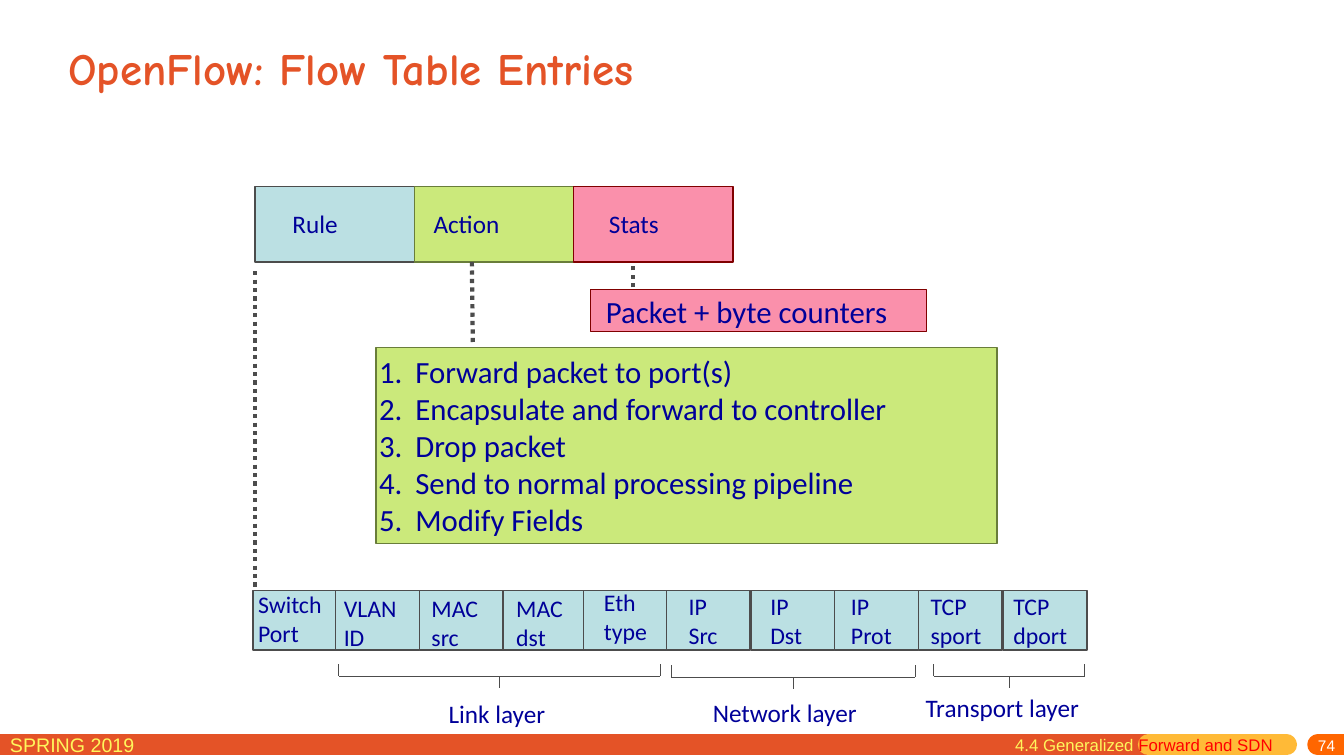
from pptx import Presentation
from pptx.util import Inches, Pt
from pptx.dml.color import RGBColor
from pptx.enum.dml import MSO_LINE
from pptx.enum.shapes import MSO_CONNECTOR, MSO_SHAPE
from pptx.enum.text import MSO_ANCHOR, MSO_AUTO_SIZE, PP_ALIGN
from pptx.oxml.ns import qn
from lxml.etree import SubElement

NAVY, GREY, BLUE = "000099", "4C4C4C", "BBE0E3"
GREEN, OLIVE, PINK, MAROON = "CBE97B", "697D3A", "FA90AB", "800000"
ORANGE, YELLOW = "E45327", "FFF65C"


def color(value):
    return RGBColor.from_string(value)


def add_line(x1, y1, x2, y2, value=GREY, width=0.75):
    line = page.shapes.add_connector(
        MSO_CONNECTOR.STRAIGHT, Inches(x1), Inches(y1), Inches(x2), Inches(y2))
    line.line.color.rgb = color(value)
    line.line.width = Pt(width)
    SubElement(line._element.spPr, qn("a:effectLst"))
    return line


deck = Presentation()
deck.slide_width, deck.slide_height = Inches(13.33), Inches(7.5)
page = deck.slides.add_slide(deck.slide_layouts[6])

# Footer bars with round ends
for start, end, value in [(-0.18, 11.39, ORANGE), (11.39, 12.76, "FFBA37"),
                          (13.07, 13.6, "FF6600")]:
    bar = add_line(start, 7.39, end, 7.39, value, 15)
    bar.line._get_or_add_ln().set("cap", "rnd")

# Rectangles: match fields, entry parts, counters, actions
field_lefts = [2.51, 3.33, 4.16, 4.99, 5.79, 6.61, 7.45, 8.28, 9.11, 9.95]
rectangles = [(left, 5.86, 0.83, 0.59, BLUE, GREY) for left in field_lefts]
for i, (fill, edge) in enumerate([(BLUE, GREY), (GREEN, OLIVE), (PINK, MAROON)]):
    rectangles.append((2.53 + 1.58 * i, 1.85, 1.58, 0.75, fill, edge))
rectangles += [(5.86, 2.87, 3.33, 0.42, PINK, MAROON),
               (3.73, 3.45, 6.16, 1.94, GREEN, OLIVE)]
for left, top, width, height, fill, edge in rectangles:
    box = page.shapes.add_shape(MSO_SHAPE.RECTANGLE, Inches(left), Inches(top),
                                Inches(width), Inches(height))
    box.shadow.inherit = False
    box.fill.solid()
    box.fill.fore_color.rgb = color(fill)
    box.line.color.rgb = color(edge)
    box.line.width = Pt(1)

# Numbered actions in the last rectangle
frame = box.text_frame
frame.word_wrap = True
frame.vertical_anchor = MSO_ANCHOR.MIDDLE
frame.margin_left = frame.margin_right = frame.margin_top = frame.margin_bottom = 0
actions = ["Forward packet to port(s)", "Encapsulate and forward to controller",
           "Drop packet", "Send to normal processing pipeline", "Modify Fields"]
for i, action in enumerate(actions):
    para = frame.paragraphs[0] if i == 0 else frame.add_paragraph()
    para.alignment = PP_ALIGN.LEFT
    props = para._p.get_or_add_pPr()
    props.set("marL", str(Inches(0.39)))
    props.set("indent", str(Inches(-0.36)))
    SubElement(props, qn("a:buFont"), typeface="Calibri")
    SubElement(props, qn("a:buAutoNum"), type="arabicPeriod")
    span = para.add_run()
    span.text = action
    span.font.size, span.font.name = Pt(22), "Calibri"
    span.font.color.rgb = color(NAVY)

# Labels without margins: left, top, width, height, size, lines
labels = [
    (2.56, 5.85, 0.64, 0.57, 17, ["Switch", "Port"]),
    (3.41, 5.89, 0.53, 0.57, 17, ["VLAN", "ID"]),
    (4.28, 5.89, 0.47, 0.57, 17, ["MAC", "src"]),
    (5.12, 5.89, 0.47, 0.57, 17, ["MAC", "dst"]),
    (5.99, 5.83, 0.43, 0.57, 17, ["Eth", "type"]),
    (6.83, 5.87, 0.29, 0.57, 17, ["IP", "Src"]),
    (7.64, 5.87, 0.32, 0.57, 17, ["IP", "Dst"]),
    (8.44, 5.87, 0.41, 0.57, 17, ["IP", "Prot"]),
    (9.23, 5.87, 0.51, 0.57, 17, ["TCP", "sport"]),
    (10.05, 5.87, 0.55, 0.57, 17, ["TCP", "dport"]),
    (2.9, 2.07, 0.45, 0.3, 18, ["Rule"]),
    (4.3, 2.07, 0.66, 0.3, 18, ["Action"]),
    (6.04, 2.07, 0.5, 0.3, 18, ["Stats"]),
    (6.01, 2.9, 2.82, 0.37, 22, ["Packet + byte counters"]),
    (4.45, 6.93, 0.97, 0.3, 18, ["Link layer"]),
    (7.07, 6.92, 1.44, 0.3, 18, ["Network layer"]),
    (9.18, 6.87, 1.53, 0.3, 18, ["Transport layer"]),
]
for left, top, width, height, size, lines in labels:
    box = page.shapes.add_textbox(Inches(left), Inches(top), Inches(width), Inches(height))
    frame = box.text_frame
    frame.word_wrap = False
    frame.auto_size = MSO_AUTO_SIZE.SHAPE_TO_FIT_TEXT
    frame.vertical_anchor = MSO_ANCHOR.MIDDLE
    frame.margin_left = frame.margin_right = frame.margin_top = frame.margin_bottom = 0
    for i, text in enumerate(lines):
        para = frame.paragraphs[0] if i == 0 else frame.add_paragraph()
        span = para.add_run()
        span.text = text
        span.font.size, span.font.name = Pt(size), "Calibri"
        span.font.color.rgb = color(NAVY)

# Dotted links from the entry parts to their details
for ends in [(2.53, 2.69, 2.53, 5.85), (4.68, 2.6, 4.69, 3.43), (6.28, 2.85, 6.28, 2.6)]:
    add_line(*ends, width=3).line.dash_style = MSO_LINE.ROUND_DOT

# Layer brackets
for left, right, top in [(3.36, 6.55, 6.59), (6.66, 9.08, 6.6), (9.26, 10.76, 6.59)]:
    middle, bar_top = (left + right) / 2, top + 0.12
    add_line(left, top, left, bar_top)
    add_line(left, bar_top, right, bar_top)
    add_line(right, top, right, bar_top)
    add_line(middle, bar_top, middle, bar_top + 0.12)

# Title and footer texts
LEFT, RIGHT = PP_ALIGN.LEFT, PP_ALIGN.RIGHT
TOP, MIDDLE = MSO_ANCHOR.TOP, MSO_ANCHOR.MIDDLE
texts = [
    (0.58, 0.28, 12.18, 0.79, 32, "Comic Neue", LEFT, MIDDLE,
     [("OpenFlow: Flow Table Entries", ORANGE)]),
    (0, 7.22, 2.29, 0.31, 14, "Arial", LEFT, TOP, [("SPRING 2019", YELLOW)]),
    (9.97, 7.24, 2.83, 0.31, 12, "Arial", LEFT, TOP,
     [("4.4 Generalized ", YELLOW), ("Forward and SDN", "FF0000")]),
    (10.75, 7.3, 2.59, 0.18, 11, "Arial", RIGHT, MIDDLE, [("74", "FFFFFF")]),
]
for left, top, width, height, size, font, align, anchor, runs in texts:
    box = page.shapes.add_textbox(Inches(left), Inches(top), Inches(width), Inches(height))
    frame = box.text_frame
    frame.word_wrap = True
    frame.vertical_anchor = anchor
    if align == RIGHT:
        frame.margin_top = frame.margin_bottom = 0
    para = frame.paragraphs[0]
    para.alignment = align
    for text, value in runs:
        span = para.add_run()
        span.text = text
        span.font.size, span.font.name = Pt(size), font
        span.font.bold = font == "Comic Neue"
        span.font.color.rgb = color(value)

deck.save("out.pptx")
